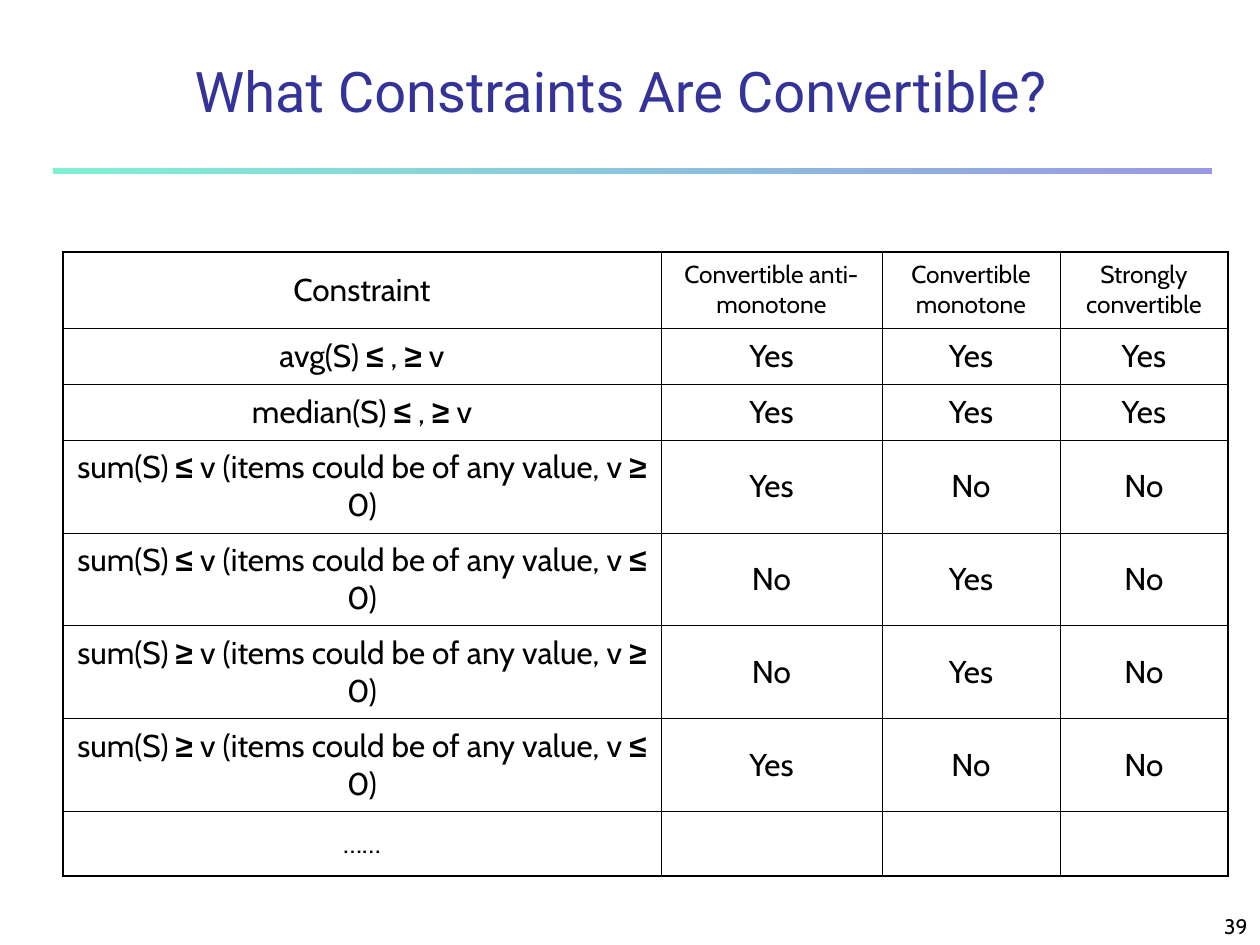
from itertools import groupby

from lxml.etree import SubElement
from pptx import Presentation
from pptx.dml.color import RGBColor
from pptx.enum.shapes import MSO_SHAPE
from pptx.enum.text import MSO_ANCHOR as ANCHOR, PP_ALIGN as ALIGN
from pptx.oxml.ns import qn
from pptx.util import Pt

PX = 914400 / 126
BLACK = "000000"
THIN, THICK = Pt(0.45), Pt(1.08)


def box(*lengths):
    """Turn px lengths into EMU."""
    return [round(length * PX) for length in lengths]


def style(font, size, color=BLACK, name="Cabin", bold=False):
    font.size = Pt(size)
    font.name = name
    font.bold = bold
    font.color.rgb = RGBColor.from_string(color)


presentation = Presentation()
presentation.slide_width, presentation.slide_height = box(1260, 945)
slide = presentation.slides.add_slide(presentation.slide_layouts[5])
shapes = slide.shapes

# Title
title = shapes.title
title.left, title.top, title.width, title.height = box(116, 42, 1010, 82)
frame = title.text_frame
frame.text = "What Constraints Are Convertible?"
frame.vertical_anchor = ANCHOR.BOTTOM
frame.margin_left = frame.margin_right = frame.margin_top = frame.margin_bottom = 0
frame.paragraphs[0].alignment = ALIGN.CENTER
style(frame.paragraphs[0].runs[0].font, 32, "333399", "Roboto")

# Gradient rule under the title
rule = shapes.add_shape(MSO_SHAPE.RECTANGLE, *box(53, 168, 1159, 6))
rule.shadow.inherit = False
rule.line.fill.background()
rule.fill.gradient()
rule.fill.gradient_angle = 0
for stop, position, color in zip(rule.fill.gradient_stops, (0, 1), ("00E4A8", "3333CC")):
    stop.position = position
    stop.color.rgb = RGBColor.from_string(color)
for color_element in rule.fill._xPr.iter(qn("a:srgbClr")):
    SubElement(color_element, qn("a:alpha"), val="50000")

# Page number
page_number = shapes.add_textbox(*box(998, 892, 262, 53))
frame = page_number.text_frame
frame.word_wrap = True
frame.vertical_anchor = ANCHOR.BOTTOM
frame.text = "39"
frame.paragraphs[0].alignment = ALIGN.RIGHT
style(frame.paragraphs[0].runs[0].font, 12)

# Constraint table
sum_text = "sum(S) {} v (items could be of any value, v {} 0)"
rows = [
    ("Constraint", "Convertible anti-monotone", "Convertible monotone", "Strongly convertible"),
    ("avg(S) ≤ , ≥ v", "Yes", "Yes", "Yes"),
    ("median(S) ≤ , ≥ v", "Yes", "Yes", "Yes"),
    (sum_text.format("≤", "≥"), "Yes", "No", "No"),
    (sum_text.format("≤", "≤"), "No", "Yes", "No"),
    (sum_text.format("≥", "≥"), "No", "Yes", "No"),
    (sum_text.format("≥", "≤"), "Yes", "No", "No"),
    ("……", "", "", ""),
]
column_widths = box(598, 221, 178, 168)
row_heights = box(76, 56, 56, 93, 93, 93, 93, 64)
last_row, last_column = len(row_heights) - 1, len(column_widths) - 1
table = shapes.add_table(len(rows), len(column_widths), *box(63, 252),
                         sum(column_widths), sum(row_heights)).table
table.first_row = table.horz_banding = False
for column, width in zip(table.columns, column_widths):
    column.width = width
for row, height in zip(table.rows, row_heights):
    row.height = height

for row_index, texts in enumerate(rows):
    for column_index, text in enumerate(texts):
        cell = table.cell(row_index, column_index)
        cell.vertical_anchor = ANCHOR.MIDDLE
        outer_sides = {
            "a:lnL": column_index == 0,
            "a:lnR": column_index == last_column,
            "a:lnT": row_index == 0,
            "a:lnB": row_index == last_row,
        }
        properties = cell._tc.get_or_add_tcPr()
        for side, is_outer in outer_sides.items():
            line = SubElement(properties, qn(side), w=str(THICK if is_outer else THIN))
            SubElement(SubElement(line, qn("a:solidFill")), qn("a:srgbClr"), val=BLACK)
        cell.fill.background()

        if row_index == 0 and column_index > 0:
            size = 14
        else:
            size = 16 if row_index == last_row else 18
        paragraph = cell.text_frame.paragraphs[0]
        paragraph.alignment = ALIGN.CENTER
        for is_symbol, characters in groupby(text, lambda character: character in "≤≥"):
            run = paragraph.add_run()
            run.text = "".join(characters)
            style(run.font, size, name="Arial" if is_symbol else "Cabin", bold=is_symbol)

presentation.save("out.pptx")
